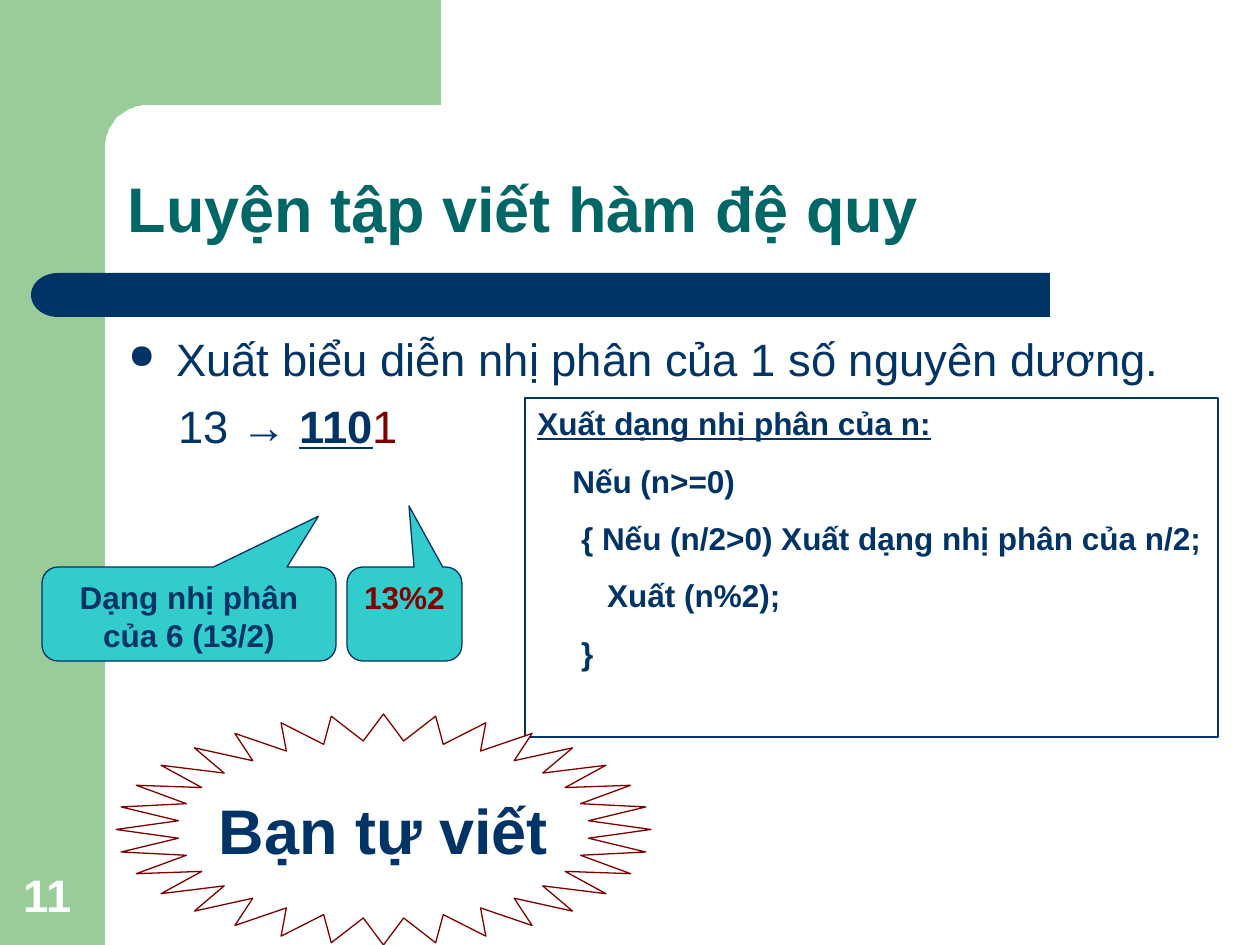
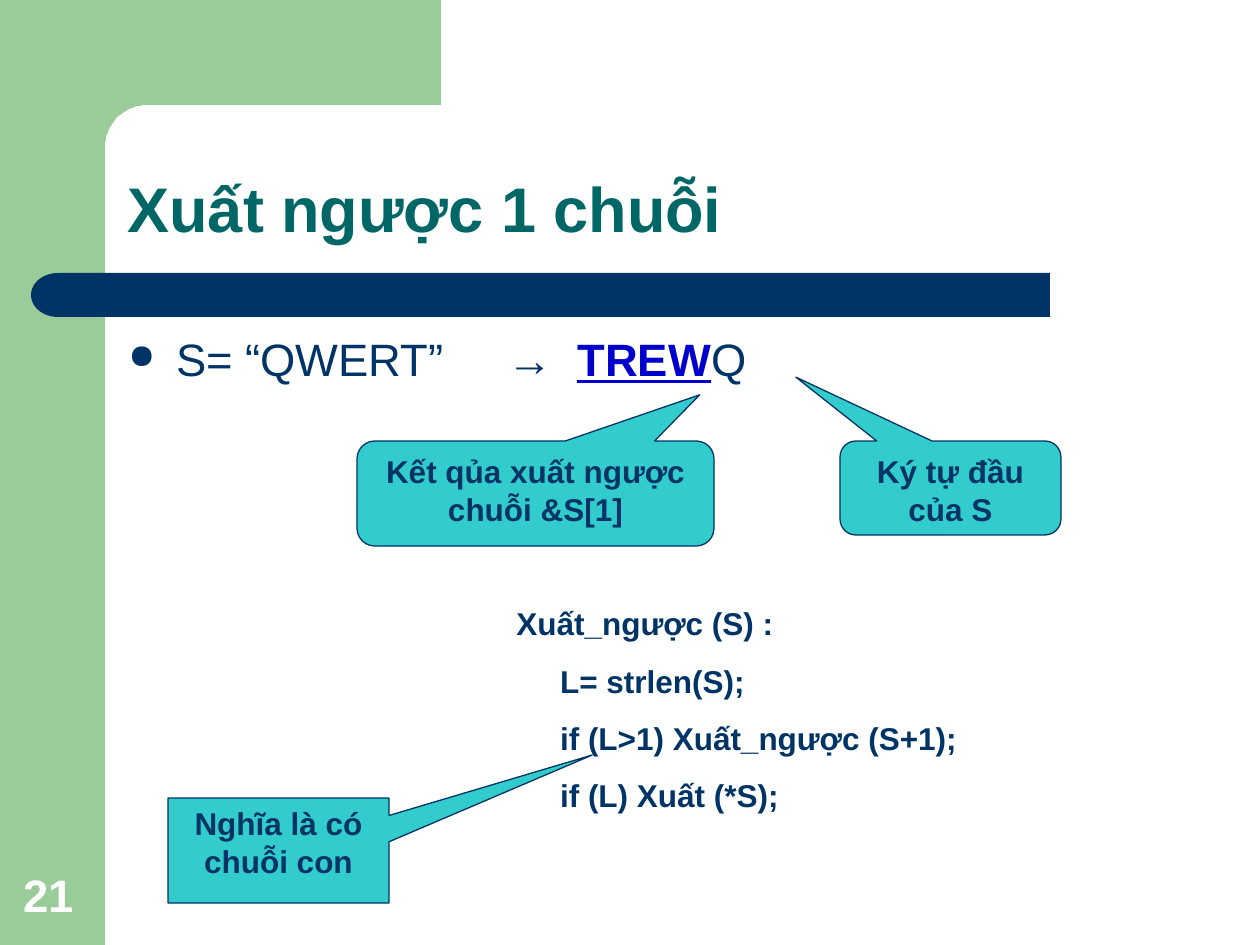
from math import cos, radians, sin

from lxml import etree
from pptx import Presentation
from pptx.dml.color import RGBColor
from pptx.enum.shapes import MSO_SHAPE
from pptx.enum.text import MSO_ANCHOR, MSO_AUTO_SIZE, PP_ALIGN
from pptx.oxml.ns import qn
from pptx.util import Pt

RECTANGLE = MSO_SHAPE.RECTANGLE
ROUND_CALLOUT = MSO_SHAPE.ROUNDED_RECTANGULAR_CALLOUT
SQUARE_CALLOUT = MSO_SHAPE.RECTANGULAR_CALLOUT
STAR = MSO_SHAPE.STAR_32_POINT
DELAY = MSO_SHAPE.FLOWCHART_DELAY
LEFT, CENTER = PP_ALIGN.LEFT, PP_ALIGN.CENTER
TOP, MIDDLE, BOTTOM = MSO_ANCHOR.TOP, MSO_ANCHOR.MIDDLE, MSO_ANCHOR.BOTTOM

PX = 914400 / 126
FONT = "Arial"
NAVY, TEAL, GREEN, AQUA = "003366", "006666", "99CC99", "33CCCC"
MAROON, BLUE, WHITE = "800000", "0000CC", "FFFFFF"

TITLE_BOX = (115, 115, 1072, 137)
NUMBER_BOX = (11, 861, 81, 67)
BODY_LEFT, BODY_TOP, BODY_WIDTH = 116, 325, 1060
BULLET_INDENT, PLAIN_INDENT = 48, 50
CORNER_RADIUS = 42

# A run is (text, style); a paragraph is a list of runs.
SLIDES = [
    {
        "number": "11",
        "title": "Luyện tập viết hàm đệ quy",
        "body_height": 199,
        "bullet": [("Xuất biểu diễn nhị phân của 1 số nguyên dương.", {})],
        "example": [
            ("13 → ", {}),
            ("110", {"bold": True, "underline": True}),
            ("1", {"color": MAROON}),
        ],
        "callouts": [
            (ROUND_CALLOUT, (42, 567, 294, 94), (0.44, -1.04, 0.17),
             "Dạng nhị phân của 6 (13/2)", NAVY),
            (ROUND_CALLOUT, (347, 567, 115, 94), (0.04, -1.15, 0.17),
             "13%2", MAROON),
        ],
        "code_box": (525, 398, 693, 339),
        "code_border": NAVY,
        "code": [
            ("Xuất dạng nhị phân của n:", {"underline": True}),
            ("    Nếu (n>=0)", {}),
            ("     { Nếu (n/2>0) Xuất dạng nhị phân của n/2;", {}),
            ("        Xuất (n%2);", {}),
            ("     }", {}),
        ],
        "burst": ("Bạn tự viết", (116, 714, 535, 231)),
    },
    {
        "number": "21",
        "title": "Xuất ngược 1 chuỗi",
        "body_height": 69,
        "bullet": [
            ("S= “QWERT”", {}),
            (" ", {"tracking": 29}),
            ("→", {}),
            (" ", {"tracking": 7}),
            ("TREW", {"color": BLUE, "bold": True, "underline": True}),
            ("Q", {}),
        ],
        "callouts": [
            (ROUND_CALLOUT, (840, 441, 221, 94), (-0.7, -1.18, 0.17),
             "Ký tự đầu của S", NAVY),
            (ROUND_CALLOUT, (357, 441, 357, 105), (0.46, -0.94, 0.17),
             "Kết qủa xuất ngược chuỗi &S[1]", NAVY),
            (SQUARE_CALLOUT, (168, 798, 221, 105), (1.42, -0.91),
             "Nghĩa là có chuỗi con", NAVY),
        ],
        "code_box": (504, 598, 525, 281),
        "code": [
            ("Xuất_ngược (S) :", {}),
            ("     L= strlen(S);", {}),
            ("     if (L>1) Xuất_ngược (S+1);", {}),
            ("     if (L) Xuất (*S);", {}),
        ],
    },
]


def emu(*lengths):
    return [round(length * PX) for length in lengths]


def rgb(code):
    return RGBColor.from_string(code)


def paint(shape, fill=None, line=None):
    shape.shadow.inherit = False
    if fill:
        shape.fill.solid()
        shape.fill.fore_color.rgb = rgb(fill)
    else:
        shape.fill.background()
    if line:
        shape.line.color.rgb = rgb(line)
        shape.line.width = Pt(0.75)
    else:
        shape.line.fill.background()


def add_shape(slide, kind, box, fill=None, line=None, adjustments=()):
    shape = slide.shapes.add_shape(kind, *emu(*box))
    paint(shape, fill, line)
    for index, value in enumerate(adjustments):
        shape.adjustments[index] = value
    return shape


def write(shape, paragraphs, size, color=NAVY, bold=True, align=LEFT,
          anchor=TOP, gap=0, wrap=True):
    """Fill a shape with paragraphs; gap is the space between them in points."""
    frame = shape.text_frame
    frame.word_wrap = wrap
    frame.auto_size = MSO_AUTO_SIZE.NONE
    frame.vertical_anchor = anchor
    for index, runs in enumerate(paragraphs):
        paragraph = frame.add_paragraph() if index else frame.paragraphs[0]
        paragraph.alignment = align
        if index:
            paragraph.space_before = Pt(gap)
        for text, style in runs:
            run = paragraph.add_run()
            run.text = text
            font = run.font
            font.name, font.size = FONT, Pt(size)
            font.bold = style.get("bold", bold)
            font.underline = style.get("underline", False)
            font.color.rgb = rgb(style.get("color", color))
            if "tracking" in style:
                run._r.get_or_add_rPr().set("spc", str(style["tracking"] * 100))
    return frame.paragraphs


def indent(paragraph, margin, first_line=0):
    properties = paragraph._p.get_or_add_pPr()
    for key, length in zip(("marL", "indent"), emu(margin, first_line)):
        properties.set(key, str(length))
    return properties


def add_bullet(paragraph):
    properties = indent(paragraph, BULLET_INDENT, -BULLET_INDENT)
    color = etree.SubElement(properties, qn("a:buClr"))
    etree.SubElement(color, qn("a:srgbClr"), val=NAVY)
    etree.SubElement(properties, qn("a:buSzPct"), val="75000")
    etree.SubElement(properties, qn("a:buChar"), char="●")


def decorate_layout(layout, slide):
    """Draw the bands on a slide, then move them behind its layout."""
    side_width, top_height = 105, 105
    center_x, center_y = side_width + CORNER_RADIUS, top_height + CORNER_RADIUS
    curve = [(center_x - CORNER_RADIUS * cos(radians(angle)),
              center_y - CORNER_RADIUS * sin(radians(angle)))
             for angle in range(90, -1, -5)]
    outline = [(441, top_height), *curve, (side_width, 161), (63, 161), (63, 0)]
    builder = slide.shapes.build_freeform(441, 0, scale=PX)
    builder.add_line_segments(outline, close=True)

    side_band = add_shape(slide, RECTANGLE, (0, 0, side_width, 945), GREEN)
    top_band = builder.convert_to_shape()
    paint(top_band, GREEN)
    title_bar = add_shape(slide, RECTANGLE, (84, 273, 966, 44), NAVY)
    bar_cap = add_shape(slide, DELAY, (31, 273, 54, 44), NAVY)
    bar_cap.rotation = 180
    bands = (side_band, top_band, title_bar, bar_cap)
    for position, band in enumerate(bands, start=2):
        layout.shapes.element.insert(position, band.element)


def add_heading(slide, content):
    number = slide.shapes.add_textbox(*emu(*NUMBER_BOX))
    write(number, [[(content["number"], {})]], 26, WHITE, anchor=BOTTOM)

    title = slide.shapes.title
    title.left, title.top, title.width, title.height = emu(*TITLE_BOX)
    heading, = write(title, [[(content["title"], {})]], 36, TEAL, anchor=BOTTOM)
    heading.line_spacing = 0.9


def add_body(slide, content):
    box = (BODY_LEFT, BODY_TOP, BODY_WIDTH, content["body_height"])
    body = slide.shapes.add_textbox(*emu(*box))
    lines = [content[part] for part in ("bullet", "example") if part in content]
    bullet, *examples = write(body, lines, 25.9, bold=False, gap=7)
    add_bullet(bullet)
    for example in examples:
        indent(example, PLAIN_INDENT)


def add_code(slide, content):
    if "code_border" in content:
        code = add_shape(slide, RECTANGLE, content["code_box"],
                         line=content["code_border"])
    else:
        code = slide.shapes.add_textbox(*emu(*content["code_box"]))
    write(code, [[line] for line in content["code"]], 18, gap=11.2)


def add_callouts(slide, callouts):
    for kind, box, pointer, text, color in callouts:
        callout = add_shape(slide, kind, box, AQUA, NAVY, pointer)
        write(callout, [[(text, {})]], 18, color, align=CENTER)


def main():
    deck = Presentation()
    deck.slide_width, deck.slide_height = emu(1260, 945)
    layout = deck.slide_layouts[5]
    for index, content in enumerate(SLIDES):
        slide = deck.slides.add_slide(layout)
        if index == 0:
            decorate_layout(layout, slide)
        add_heading(slide, content)
        add_body(slide, content)
        add_code(slide, content)
        add_callouts(slide, content["callouts"])
        if "burst" in content:
            text, box = content["burst"]
            burst = add_shape(slide, STAR, box, WHITE, MAROON, (0.385,))
            write(burst, [[(text, {})]], 36, align=CENTER, anchor=MIDDLE,
                  wrap=False)
    deck.save("out.pptx")


if __name__ == "__main__":
    main()
